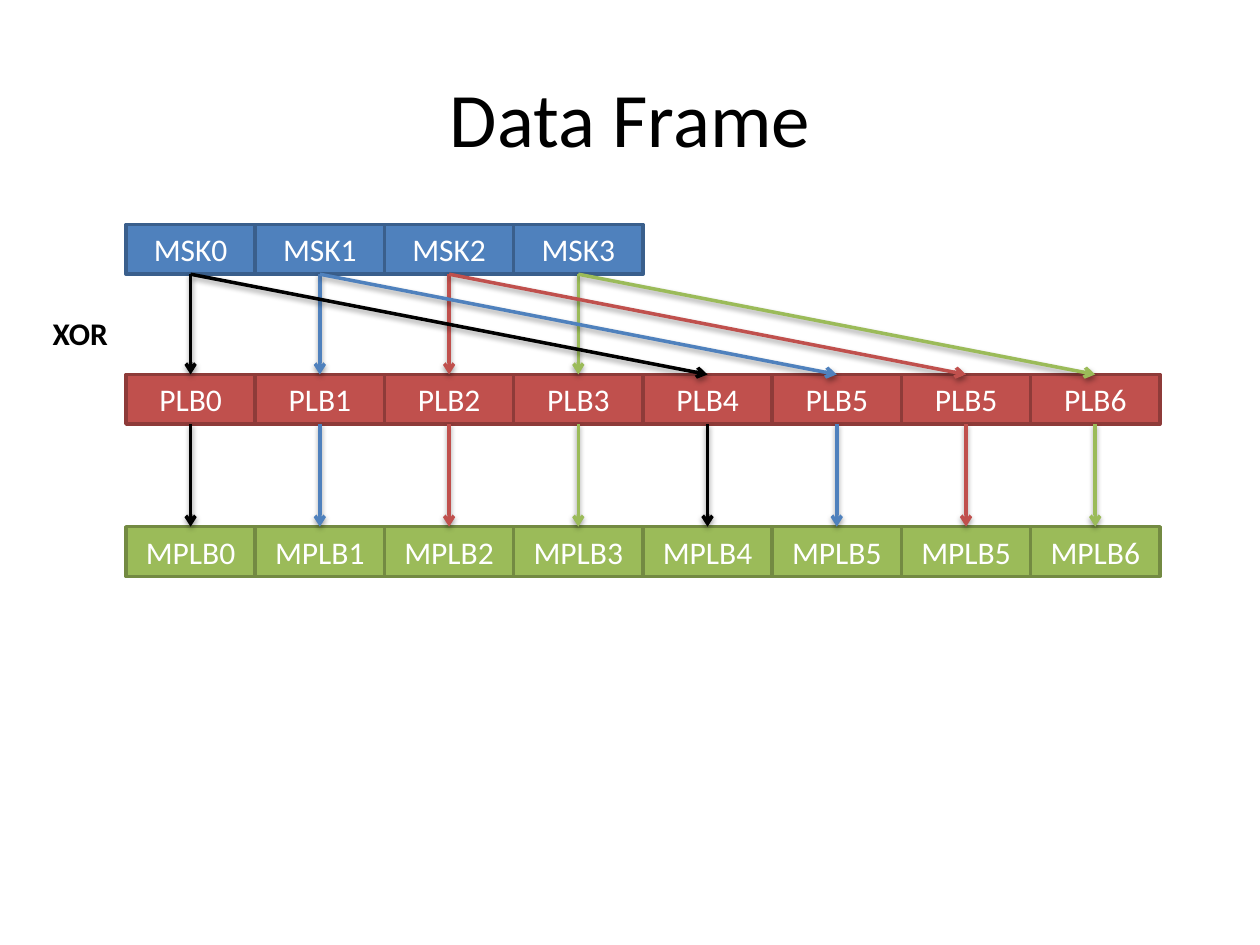
"""Build the Data Frame slide, which shows how mask blocks combine with payload blocks."""
from lxml import etree
from pptx import Presentation
from pptx.dml.color import RGBColor
from pptx.enum.shapes import MSO_CONNECTOR, MSO_SHAPE
from pptx.enum.text import MSO_ANCHOR, MSO_AUTO_SIZE, PP_ALIGN
from pptx.oxml.ns import qn
from pptx.util import Pt

RECT = MSO_SHAPE.RECTANGLE
STRAIGHT = MSO_CONNECTOR.STRAIGHT
MIDDLE = MSO_ANCHOR.MIDDLE
CENTER, LEFT = PP_ALIGN.CENTER, PP_ALIGN.LEFT
FIT_SHAPE = MSO_AUTO_SIZE.SHAPE_TO_FIT_TEXT
TOP, BOTTOM = 0, 2

COLORS = {
    "black": "000000", "white": "FFFFFF",
    "blue": "4F81BD", "blue_edge": "3A5F8C",
    "red": "C0504D", "red_edge": "8E3B39",
    "green": "9BBB59", "green_edge": "738A42",
}
ARROW_COLORS = ["black", "blue", "red", "green"]
MASKS = ["MSK0", "MSK1", "MSK2", "MSK3"]
PAYLOADS = ["PLB0", "PLB1", "PLB2", "PLB3", "PLB4", "PLB5", "PLB5", "PLB6"]
ROW_LEFT, PITCH, CELL_H = 72, 73.85, 28.4


def rgb(name):
    """Return the named colour."""
    return RGBColor.from_string(COLORS[name])


def write(tf, text, size=18, color="black", bold=False, align=CENTER):
    """Put one formatted line of text in a text frame."""
    p = tf.paragraphs[0]
    p.alignment = align
    r = p.add_run()
    r.text = text
    r.font.name = "Calibri"
    r.font.size = Pt(size)
    r.font.bold = bold
    r.font.color.rgb = rgb(color)


def add_title(s, text, left, top, width, height):
    """Place and format the title placeholder."""
    sp = s.shapes.title
    sp.left, sp.top, sp.width, sp.height = Pt(left), Pt(top), Pt(width), Pt(height)
    sp.text_frame.vertical_anchor = MIDDLE
    write(sp.text_frame, text, size=44)


def add_label(s, text, left, top, width, height):
    """Add a bold label that does not wrap."""
    sp = s.shapes.add_textbox(Pt(left), Pt(top), Pt(width), Pt(height))
    sp.text_frame.word_wrap = False
    sp.text_frame.auto_size = FIT_SHAPE
    write(sp.text_frame, text, bold=True, align=LEFT)


def add_row(s, labels, color, left, top, width, height):
    """Fill a box with equal adjoining cells and return them."""
    cells = []
    cell_w = width / len(labels)
    for i, label in enumerate(labels):
        sp = s.shapes.add_shape(RECT, Pt(left + i * cell_w), Pt(top), Pt(cell_w), Pt(height))
        sp.shadow.inherit = False
        sp.fill.solid()
        sp.fill.fore_color.rgb = rgb(color)
        sp.line.color.rgb = rgb(f"{color}_edge")
        sp.line.width = Pt(2)
        sp.text_frame.word_wrap = True
        sp.text_frame.vertical_anchor = MIDDLE
        write(sp.text_frame, label, color="white")
        cells.append(sp)
    return cells


def add_arrow(s, source, target, color):
    """Join the bottom of one cell to the top of another with a shadowed arrow."""
    cxn = s.shapes.add_connector(STRAIGHT, 0, 0, 0, 0)
    cxn.begin_connect(source, BOTTOM)
    cxn.end_connect(target, TOP)
    cxn.line.color.rgb = rgb(color)
    cxn.line.width = Pt(2)
    etree.SubElement(cxn.line._get_or_add_ln(), qn("a:tailEnd"), type="arrow")
    effects = etree.SubElement(cxn._element.spPr, qn("a:effectLst"))
    shadow = etree.SubElement(effects, qn("a:outerShdw"), blurRad=str(Pt(3.1)),
                              dist=str(Pt(1.6)), dir="5400000", rotWithShape="0")
    shade = etree.SubElement(shadow, qn("a:srgbClr"), val=COLORS["black"])
    etree.SubElement(shade, qn("a:alpha"), val="38000")


def main():
    """Build and save the slide."""
    prs = Presentation()
    prs.slide_width, prs.slide_height = Pt(720), Pt(540)
    s = prs.slides.add_slide(prs.slide_layouts[5])
    add_title(s, "Data Frame", 36, 21.6, 648, 90)
    add_label(s, "XOR", 23, 175.7, 46, 29)

    rows = [
        (MASKS, "blue", 128.3),
        (PAYLOADS, "red", 214),
        ([f"M{name}" for name in PAYLOADS], "green", 301),
    ]
    masks, payloads, masked = [
        add_row(s, labels, color, ROW_LEFT, top, PITCH * len(labels), CELL_H)
        for labels, color, top in rows
    ]
    for i, (payload, result) in enumerate(zip(payloads, masked)):
        k = i % len(masks)
        add_arrow(s, masks[k], payload, ARROW_COLORS[k])
        add_arrow(s, payload, result, ARROW_COLORS[k])
    prs.save("out.pptx")


if __name__ == "__main__":
    main()
